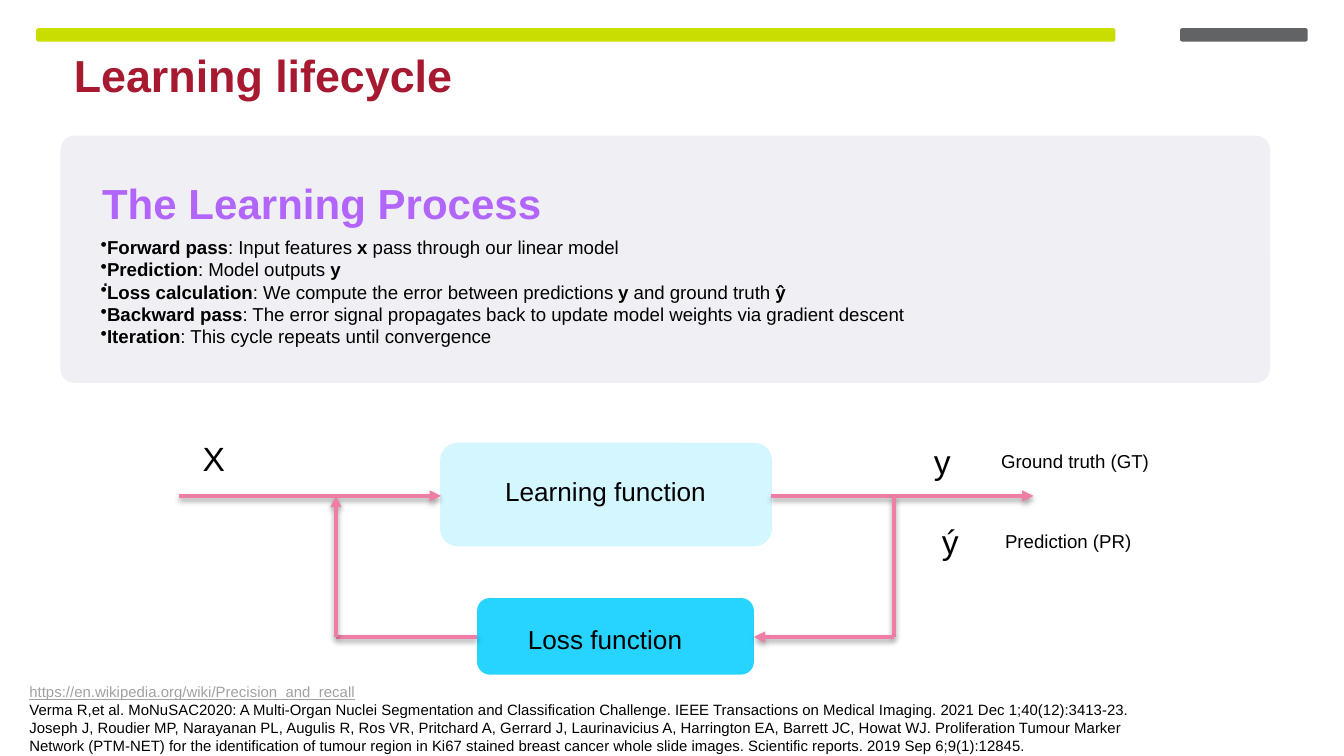
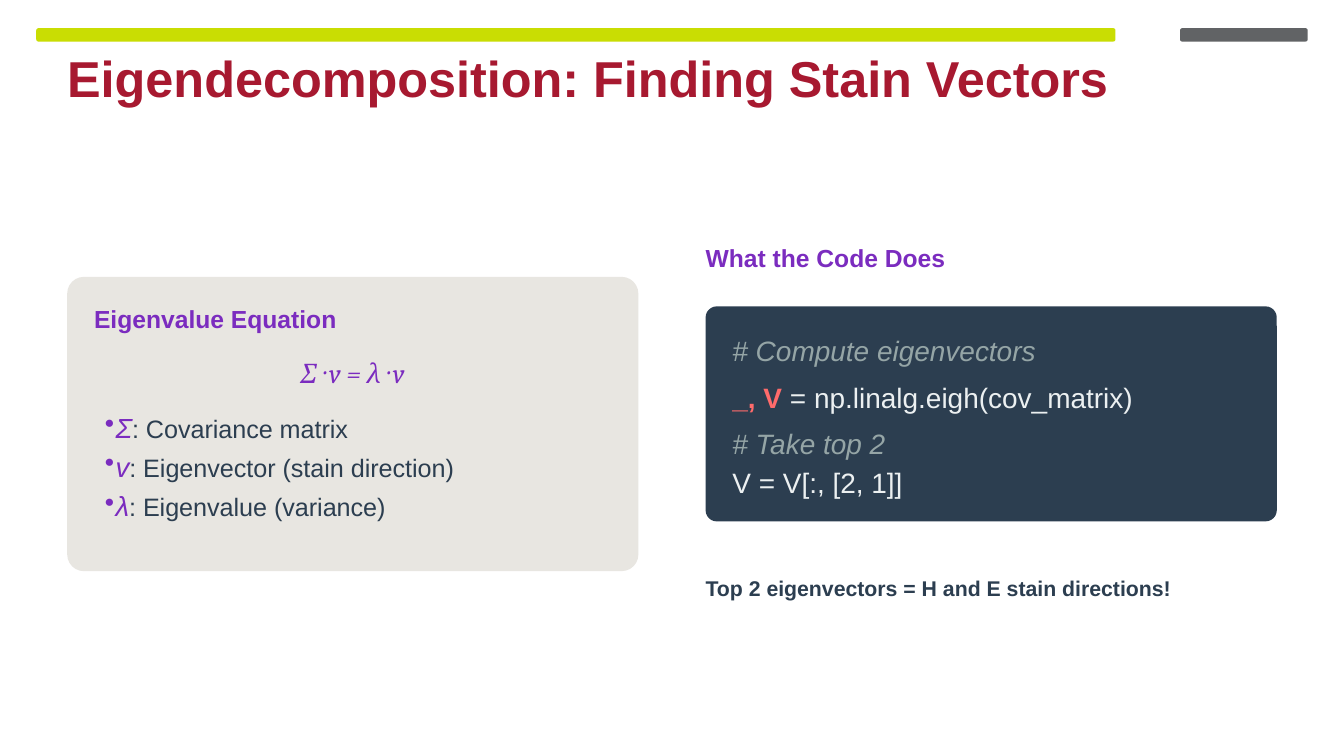
from dataclasses import dataclass, replace

from lxml.etree import SubElement
from pptx import Presentation
from pptx.dml.color import RGBColor
from pptx.enum.shapes import MSO_CONNECTOR as Connector, MSO_SHAPE as Shape
from pptx.enum.text import MSO_ANCHOR as Anchor, MSO_AUTO_SIZE as AutoSize, PP_ALIGN as Align
from pptx.oxml import parse_xml
from pptx.oxml.ns import nsdecls, qn
from pptx.util import Inches, Pt

# Grid: 100 columns by 56.25 rows of square cells
COLUMNS, ROWS = 100, 56.25
WIDTH = Inches(10)
CELL = WIDTH / COLUMNS


@dataclass(frozen=True)
class Style:
    size: float
    color: str
    bold: bool = False
    italic: bool = False
    underline: bool = False
    font: str = "Arial"


@dataclass(frozen=True)
class Theme:
    # Fills and lines
    lime: str = "C9DD03"
    gray: str = "616365"
    lilac: str = "F0EFF4"
    sand: str = "E8E6E1"
    navy: str = "2C3E50"
    pale_blue: str = "D4F6FF"
    bright_blue: str = "26D4FF"
    arrow: str = "EE7EA6"
    # Text styles
    title: Style = Style(24, "A71930", bold=True)
    process: Style = Style(22.5, "B165FB", bold=True)
    dot: Style = Style(13.5, "1D1D1D")
    symbol: Style = Style(18, "000000")
    block: Style = Style(14, "000000")
    body: Style = Style(10, "000000")
    strong: Style = Style(10, "000000", bold=True)
    link: Style = Style(8, "A0A1A3", underline=True)
    reference: Style = Style(8, "000000")
    heading: Style = Style(13.2, "7B2CBF", bold=True)
    equation: Style = Style(14.4, "7B2CBF", italic=True, font="Cambria")
    variable: Style = Style(14.8, "7B2CBF", italic=True)
    meaning: Style = Style(13.5, "2C3E50")
    comment: Style = Style(15, "95A5A6", italic=True)
    result: Style = Style(15, "FF6B6B", bold=True)
    code: Style = Style(15, "ECF0F1")
    takeaway: Style = Style(11.4, "2C3E50", bold=True)


THEME = Theme()

SHADOW = (
    f'<a:effectLst {nsdecls("a")}>'
    '<a:outerShdw blurRad="39370" dist="20320" dir="5400000" rotWithShape="0">'
    '<a:srgbClr val="000000"><a:alpha val="38000"/></a:srgbClr>'
    "</a:outerShdw></a:effectLst>"
)


def cells(*lengths):
    return [round(length * CELL) for length in lengths]


# Element builders
def add_panel(slide, box, fill, corner=None, outline=None):
    shape = slide.shapes.add_shape(Shape.ROUNDED_RECTANGLE, *cells(*box))
    shape.shadow.inherit = False
    shape.fill.solid()
    shape.fill.fore_color.rgb = RGBColor.from_string(fill)
    if outline:
        shape.line.color.rgb = RGBColor.from_string(outline)
        shape.line.width = Pt(0.75)
    else:
        shape.line.fill.background()
    if corner is not None:
        shape.adjustments[0] = corner


def add_run(paragraph, text, style):
    run = paragraph.add_run()
    run.text = text
    font = run.font
    font.name, font.size = style.font, Pt(style.size)
    font.bold, font.italic, font.underline = style.bold, style.italic, style.underline
    font.color.rgb = RGBColor.from_string(style.color)


def add_bullet(paragraph, hanging):
    properties = paragraph._p.get_or_add_pPr()
    indent = cells(hanging)[0]
    properties.set("marL", str(indent))
    properties.set("indent", str(-indent))
    SubElement(properties, qn("a:buChar")).set("char", "•")


def add_text(slide, box, paragraphs, insets=(0, 0, 0, 0), spacing=None,
             align=Align.LEFT, hanging=None):
    """Add a box of paragraphs, each a list of (text, style) runs."""
    text_box = slide.shapes.add_textbox(*cells(*box))
    frame = text_box.text_frame
    frame.word_wrap = True
    (frame.margin_left, frame.margin_top,
     frame.margin_right, frame.margin_bottom) = cells(*insets)
    for index, runs in enumerate(paragraphs):
        paragraph = frame.add_paragraph() if index else frame.paragraphs[0]
        if hanging is not None:
            add_bullet(paragraph, hanging)
        paragraph.alignment = align
        if spacing:
            paragraph.line_spacing = spacing
        for text, style in runs:
            add_run(paragraph, text, style)
    return frame


def add_label(slide, box, paragraphs, **options):
    """Add a padded box that grows with its text."""
    frame = add_text(slide, box, paragraphs, insets=(1, 0.5, 1, 0.5), **options)
    frame.auto_size = AutoSize.SHAPE_TO_FIT_TEXT
    return frame


def add_flow(slide, start, end, arrow=True):
    connector = slide.shapes.add_connector(Connector.STRAIGHT, *cells(*start, *end))
    connector.line.color.rgb = RGBColor.from_string(THEME.arrow)
    connector.line.width = Pt(2)
    if arrow:
        SubElement(connector.line._get_or_add_ln(), qn("a:tailEnd")).set("type", "triangle")
    connector._element.spPr.append(parse_xml(SHADOW))


def add_titled_slide(presentation, title, left, size):
    slide = presentation.slides.add_slide(presentation.slide_layouts[6])
    add_panel(slide, (2.7, 2.1, 80.3, 1), THEME.lime)
    add_panel(slide, (87.8, 2.1, 9.5, 1), THEME.gray)
    add_text(slide, (left, 4.2, 88, 3.7), [[(title, replace(THEME.title, size=size))]],
             spacing=0.85)
    return slide


# Slide 1
def add_learning_process(slide):
    body, strong = THEME.body, THEME.strong
    add_panel(slide, (4.5, 10.1, 90, 18.4), THEME.lilac, corner=0.057)
    add_text(slide, (7.6, 13.2, 85.4, 3.8), [[("The Learning Process", THEME.process)]],
             spacing=Pt(27))
    add_text(slide, (7.6, 18.5, 85.4, 6.4), [[(".", THEME.dot)]], spacing=Pt(22.9))
    steps = [
        [("Forward pass", strong), (": Input features ", body), ("x", strong),
         (" pass through our linear model", body)],
        [("Prediction", strong), (": Model outputs ", body), ("y", strong)],
        [("Loss calculation", strong), (": We compute the error between predictions ", body),
         ("y", strong), (" and ground truth ", body), ("ŷ", strong)],
        [("Backward pass", strong),
         (": The error signal propagates back to update model weights via gradient descent",
          body)],
        [("Iteration", strong), (": This cycle repeats until convergence", body)],
    ]
    frame = add_label(slide, (6.5, 17, 62.6, 9.4), steps, hanging=0)
    frame.word_wrap = False
    frame.vertical_anchor = Anchor.MIDDLE


def add_learning_loop(slide):
    forward, backward = 36.9, 47.4
    feedback, output = 25, 66.5
    add_panel(slide, (32.8, 33, 24.6, 7.6), THEME.pale_blue, outline=THEME.pale_blue)
    add_panel(slide, (35.5, 44.5, 20.6, 5.7), THEME.bright_blue)

    # Forward path, then the way back through the loss
    add_flow(slide, (13.3, forward), (32.8, forward))
    add_flow(slide, (57.4, forward), (76.9, forward))
    add_flow(slide, (output, forward), (output, backward), arrow=False)
    add_flow(slide, (output, backward), (56.1, backward))
    add_flow(slide, (35.5, backward), (feedback, backward), arrow=False)
    add_flow(slide, (feedback, backward), (feedback, forward))

    labels = [
        ("X", THEME.symbol, (14.1, 32.1, 4.7, 4)),
        ("y", THEME.symbol, (68.5, 32.3, 4.7, 4)),
        ("ý", THEME.symbol, (69.1, 38.3, 4.7, 4)),
        ("Learning function", THEME.block, (36.6, 34.9, 18.3, 3.4)),
        ("Loss function", THEME.block, (38.3, 45.9, 18.3, 3.4)),
        ("Ground truth (GT)", THEME.body, (73.5, 33, 16.9, 2.7)),
        ("Prediction (PR)", THEME.body, (73.8, 38.9, 14.9, 2.7)),
    ]
    for text, style, box in labels:
        add_label(slide, box, [[(text, style)]])


def add_references(slide):
    add_label(slide, (1.2, 50.3, 86.1, 7.7), [
        [("https://en.wikipedia.org/wiki/Precision_and_recall", THEME.link)],
        [("Verma R,et al. MoNuSAC2020: A Multi-Organ Nuclei Segmentation and Classification "
          "Challenge. IEEE Transactions on Medical Imaging. 2021 Dec 1;40(12):3413-23.",
          THEME.reference)],
        [("Joseph J, Roudier MP, Narayanan PL, Augulis R, Ros VR, Pritchard A, Gerrard J, "
          "Laurinavicius A, Harrington EA, Barrett JC, Howat WJ. Proliferation Tumour Marker "
          "Network (PTM-NET) for the identification of tumour region in Ki67 stained breast "
          "cancer whole slide images. Scientific reports. 2019 Sep 6;9(1):12845.",
          THEME.reference)],
    ])


# Slide 2
def add_eigenvalue_equation(slide):
    add_panel(slide, (5, 20.6, 42.5, 21.9), THEME.sand, corner=0.057)
    add_text(slide, (7, 22.6, 39.3, 2.2), [[("Eigenvalue Equation", THEME.heading)]],
             spacing=Pt(15.8))
    add_text(slide, (6.6, 26.1, 39.3, 2.8), [[("Σ · v = λ · v", THEME.equation)]],
             spacing=Pt(20.2), align=Align.CENTER)
    terms = [("Σ", "Covariance matrix"), ("v", "Eigenvector (stain direction)"),
             ("λ", "Eigenvalue (variance)")]
    add_text(slide, (7, 30.1, 38.5, 10.5),
             [[(symbol, THEME.variable), (f": {meaning}", THEME.meaning)]
              for symbol, meaning in terms],
             insets=(0.8, 0, 0, 0), spacing=Pt(21), hanging=0.8)


def add_code_explanation(slide):
    left = 52.5
    add_text(slide, (left, 18.1, 43.3, 2.2), [[("What the Code Does", THEME.heading)]],
             spacing=Pt(15.8))
    add_panel(slide, (left, 22.8, 42.5, 16), THEME.navy, corner=0.052)
    code_lines = [
        (24.4, [("# Compute eigenvectors", THEME.comment)]),
        (27.9, [("_, V", THEME.result), (" = np.linalg.eigh(cov_matrix)", THEME.code)]),
        (31.3, [("# Take top 2", THEME.comment)]),
        (34.2, [("V = V[:, [2, 1]]", THEME.code)]),
    ]
    for top, runs in code_lines:
        add_text(slide, (left + 2, top, 39.3, 2.9), [runs], spacing=Pt(21))
    add_text(slide, (left, 42.5, 43.3, 2.2),
             [[("Top 2 eigenvectors = H and E stain directions!", THEME.takeaway)]],
             spacing=Pt(16))


def main():
    presentation = Presentation()
    presentation.slide_width, presentation.slide_height = cells(COLUMNS, ROWS)

    lifecycle = add_titled_slide(presentation, "Learning lifecycle", left=5.5, size=24)
    add_learning_process(lifecycle)
    add_learning_loop(lifecycle)
    add_references(lifecycle)

    eigen = add_titled_slide(presentation, "Eigendecomposition: Finding Stain Vectors",
                             left=5, size=27)
    add_eigenvalue_equation(eigen)
    add_code_explanation(eigen)

    presentation.save("out.pptx")


if __name__ == "__main__":
    main()
